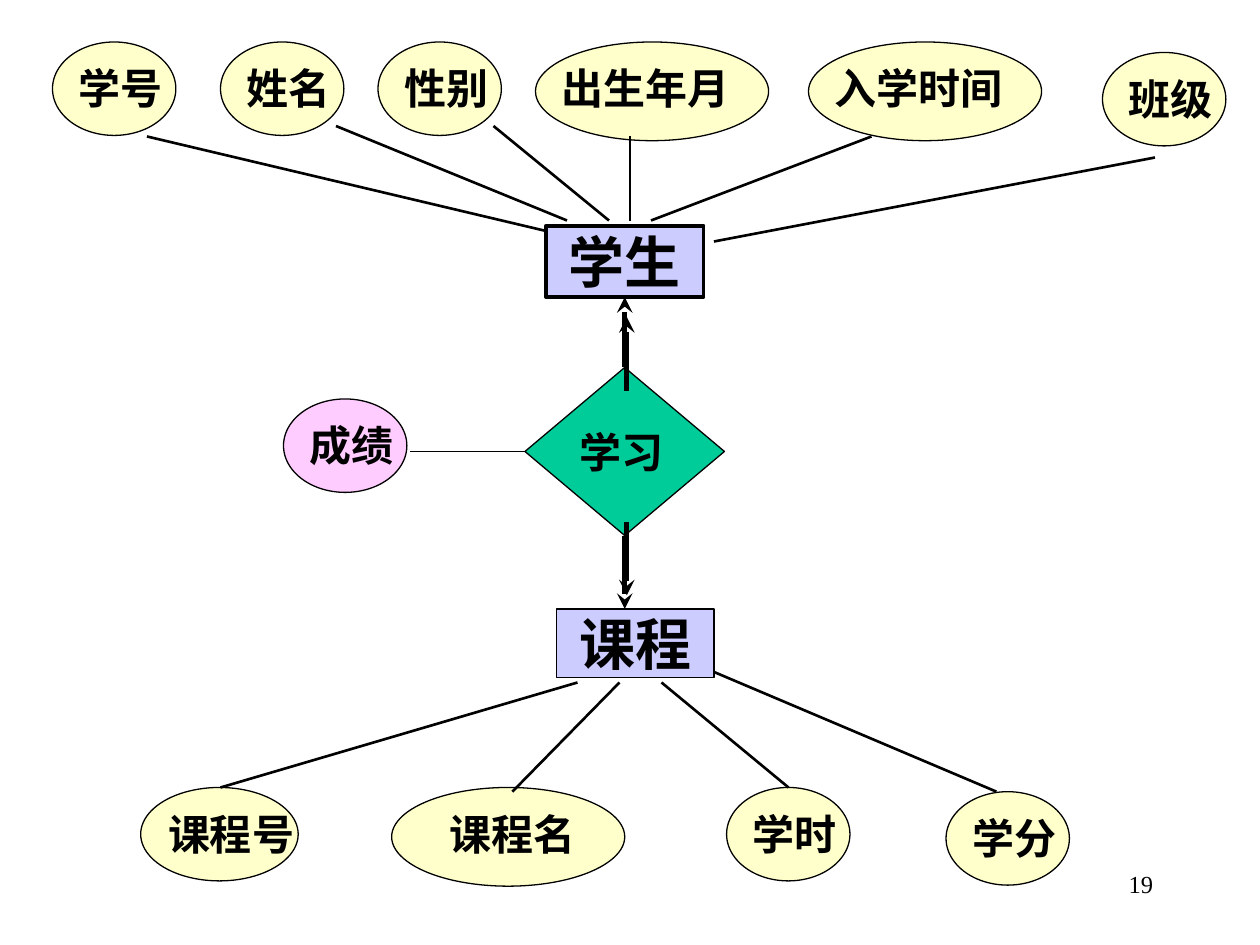
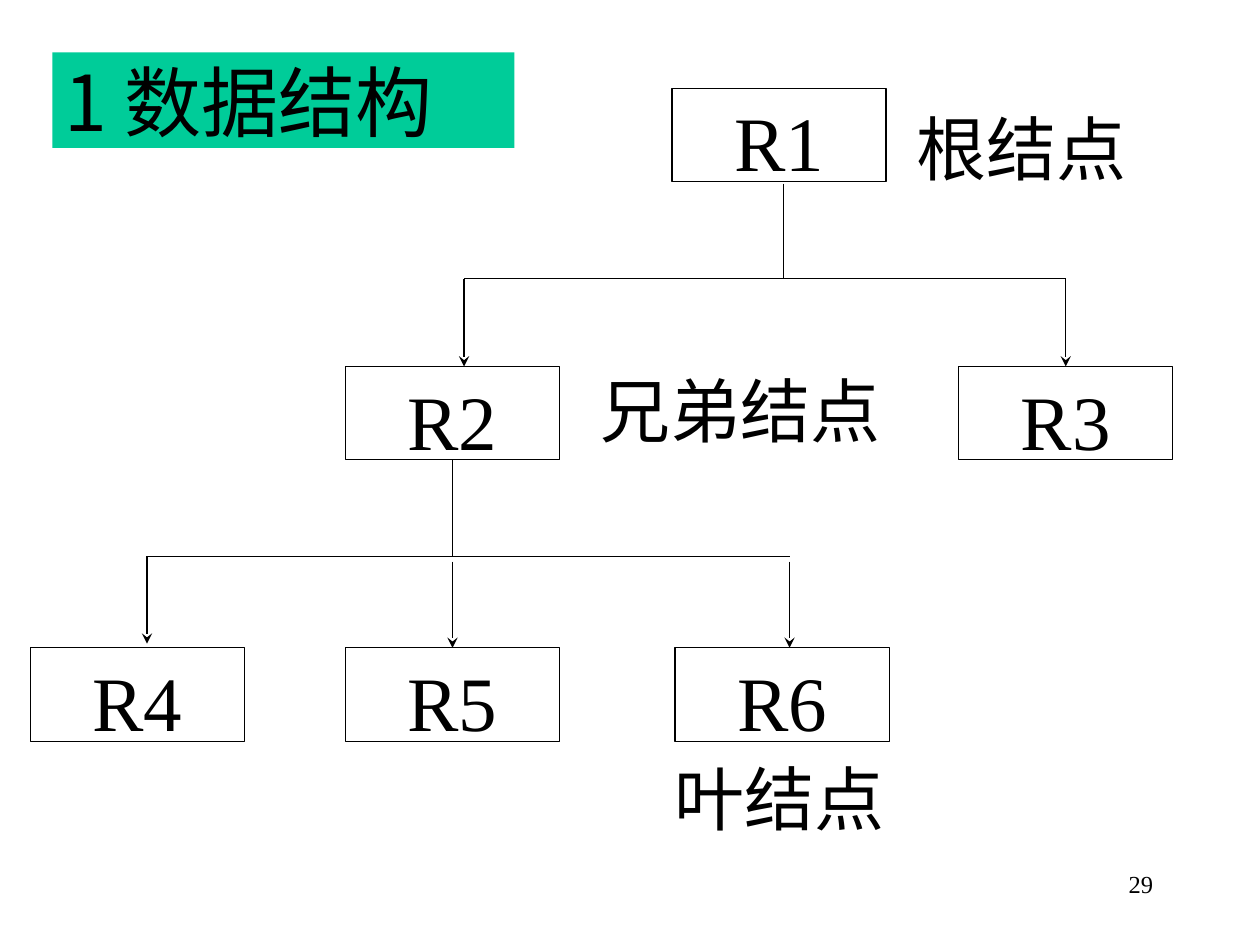
from pptx import Presentation
from pptx.dml.color import RGBColor
from pptx.enum.shapes import MSO_CONNECTOR, MSO_SHAPE
from pptx.enum.text import MSO_ANCHOR, PP_ALIGN
from pptx.oxml.ns import qn
from pptx.util import Inches, Pt
from lxml.etree import SubElement

COLORS = {"ink": "000000", "entity": "CCCCFF", "attribute": "FFFFCC",
          "relation": "00CC99", "score": "FFCCFF"}
SERIF, SANS = "Times New Roman", "Noto Sans CJK SC"

deck = Presentation()
deck.slide_width, deck.slide_height = Inches(10), Inches(7.5)

# Grid of 120 columns by 90 rows; all lengths below are counted in its square cells
CELL = deck.slide_width / 120


def add_box(page, kind, area, text="", size=24, fill=None, line=0.75, bold=False,
            font=SERIF, align=PP_ALIGN.CENTER, anchor=MSO_ANCHOR.MIDDLE, insets=(0, 0)):
    """Add a preset shape, or a text box when kind is None."""
    place = [round(cells * CELL) for cells in area]
    if kind is None:
        box = page.shapes.add_textbox(*place)
    else:
        box = page.shapes.add_shape(kind, *place)
        box.shadow.inherit = False
        if fill:
            box.fill.solid()
            box.fill.fore_color.rgb = RGBColor.from_string(COLORS[fill])
        else:
            box.fill.background()
        if line:
            box.line.color.rgb = RGBColor.from_string(COLORS["ink"])
            box.line.width = Pt(line)
        else:
            box.line.fill.background()
    if text:
        frame = box.text_frame
        frame.word_wrap, frame.vertical_anchor = True, anchor
        frame.margin_left = frame.margin_right = round(insets[0] * CELL)
        frame.margin_top, frame.margin_bottom = round(insets[1] * CELL), 0
        para = frame.paragraphs[0]
        para.text, para.alignment = text, align
        para.font.name, para.font.size, para.font.bold = font, Pt(size), bold
        para.font.color.rgb = RGBColor.from_string(COLORS["ink"])
    return box


def add_line(page, start, end, width=0.75, arrow=False, begin=None, finish=None):
    """Add a line; begin and finish are (shape, side) pairs to join."""
    ends = [round(cells * CELL) for cells in (*start, *end)]
    line = page.shapes.add_connector(MSO_CONNECTOR.STRAIGHT, *ends)
    line.line.color.rgb = RGBColor.from_string(COLORS["ink"])
    line.line.width = Pt(width)
    if arrow:
        SubElement(line.line._get_or_add_ln(), qn("a:tailEnd"), type="stealth")
    SubElement(line._element.spPr, qn("a:effectLst"))
    if begin:
        line.begin_connect(*begin)
    if finish:
        line.end_connect(*finish)


# Pages with their numbers
pages = []
for number in ("19", "29"):
    page = deck.slides.add_slide(deck.slide_layouts[6])
    add_box(page, None, (86, 82, 25, 6), number, 14, align=PP_ALIGN.RIGHT,
            anchor=MSO_ANCHOR.TOP, insets=(1.2, 0.8))
    pages.append(page)
diagram_page, tree_page = pages

# Entity-relationship diagram: entities
student = add_box(diagram_page, MSO_SHAPE.RECTANGLE, (52, 21.5, 15, 6.8), "学生", 32,
                  "entity", 2.25, bold=True)
add_box(diagram_page, MSO_SHAPE.RECTANGLE, (53, 58, 15, 6.5), "课程", 32,
        "entity", bold=True)

# Attributes: name, ellipse left and top, label left, label width, colour
SMALL, MEDIUM, LARGE = (11.75, 8.9), (15, 8.9), (22.2, 9.4)
attributes = [
    ("学号", 5, 4, SMALL, 7, 9, "attribute"),
    ("姓名", 21, 4, SMALL, 23, 9, "attribute"),
    ("性别", 36, 4, SMALL, 38, 9, "attribute"),
    ("出生年月", 51, 4, LARGE, 53, 17, "attribute"),
    ("入学时间", 77, 4, LARGE, 79, 17, "attribute"),
    ("班级", 105, 5, SMALL, 107, 9, "attribute"),
    ("课程号", 13.4, 75, MEDIUM, 14.5, 15, "attribute"),
    ("课程名", 37.3, 75, LARGE, 40.3, 17, "attribute"),
    ("学时", 69.2, 75, SMALL, 71.2, 9, "attribute"),
    ("学分", 90.1, 75.4, SMALL, 92.1, 9, "attribute"),
    ("成绩", 27, 38, SMALL, 29, 9, "score"),
]
for name, left, top, size, label_left, label_width, color in attributes:
    add_box(diagram_page, MSO_SHAPE.OVAL, (left, top, *size), fill=color)
    add_box(diagram_page, None, (label_left, top + 2, label_width, 4.8), name, bold=True)

# Relationship
study = add_box(diagram_page, MSO_SHAPE.DIAMOND, (50, 35, 19, 16), fill="relation")
add_box(diagram_page, None, (54, 40, 12, 6), "学习", bold=True,
        align=PP_ALIGN.LEFT, insets=(1.2, 0))
add_line(diagram_page, (50, 43), (39, 43), begin=(study, 1))

# Lines from attributes to entities
for start, end in [
    ((14, 13), (52, 22)), ((32, 12), (54, 21)), ((47, 12), (58, 21)),
    ((60, 13), (60, 21)), ((83, 13), (62, 21)), ((110, 15), (68, 23)),
    ((55, 65), (21, 75)), ((59, 65), (48.8, 75.4)),
    ((63, 65), (75.1, 75)), ((68, 64), (94.9, 75.4)),
]:
    add_line(diagram_page, start, end, 1.5)

# Double arrows on both sides of the relationship
add_line(diagram_page, (59.5, 35), (59.5, 28.3), 3, True, (study, 0), (student, 2))
add_line(diagram_page, (59.5, 51), (59.5, 58), 3, True, (study, 2))
add_line(diagram_page, (59.7, 49.7), (59.7, 56.7), 3, True)
add_line(diagram_page, (59.7, 37.2), (59.7, 30.2), 3, True)

# Tree: title and nodes
add_box(tree_page, MSO_SHAPE.RECTANGLE, (5, 5, 44, 9.1), "1 数据结构", 44, "relation",
        line=0, font=SANS, align=PP_ALIGN.LEFT, insets=(1.2, 0))
nodes = {}
for name, left, top in [("R1", 64, 8.4), ("R2", 32.9, 34.9), ("R3", 91.3, 34.9),
                        ("R4", 2.9, 61.7), ("R5", 32.9, 61.7), ("R6", 64.3, 61.7)]:
    nodes[name] = add_box(tree_page, MSO_SHAPE.RECTANGLE, (left, top, 20.4, 8.9),
                          name, 44, insets=(0, 1.2))

# Tree: branches
add_line(tree_page, (74.6, 17.5), (74.6, 26.5))
add_line(tree_page, (44.2, 26.5), (101.5, 26.5))
add_line(tree_page, (43.1, 44.4), (43.1, 53), begin=(nodes["R2"], 2))
add_line(tree_page, (14, 53), (75.2, 53))
for column, top, bottom, joined in [
    (44.2, 26.6, 34.9, None), (101.5, 26.6, 34.9, "R3"),
    (14, 53, 61.3, None), (43.1, 53.5, 61.7, "R5"), (75.2, 53.5, 61.7, None),
]:
    add_line(tree_page, (column, top), (column, bottom), arrow=True,
             finish=(nodes[joined], 0) if joined else None)

# Tree: names of the levels
for name, left, top, width in [("根结点", 87.1, 10, 20.4), ("兄弟结点", 56, 35, 29),
                               ("叶结点", 64, 72, 20.4)]:
    add_box(tree_page, None, (left, top, width, 8), name, 40)

deck.save("out.pptx")
